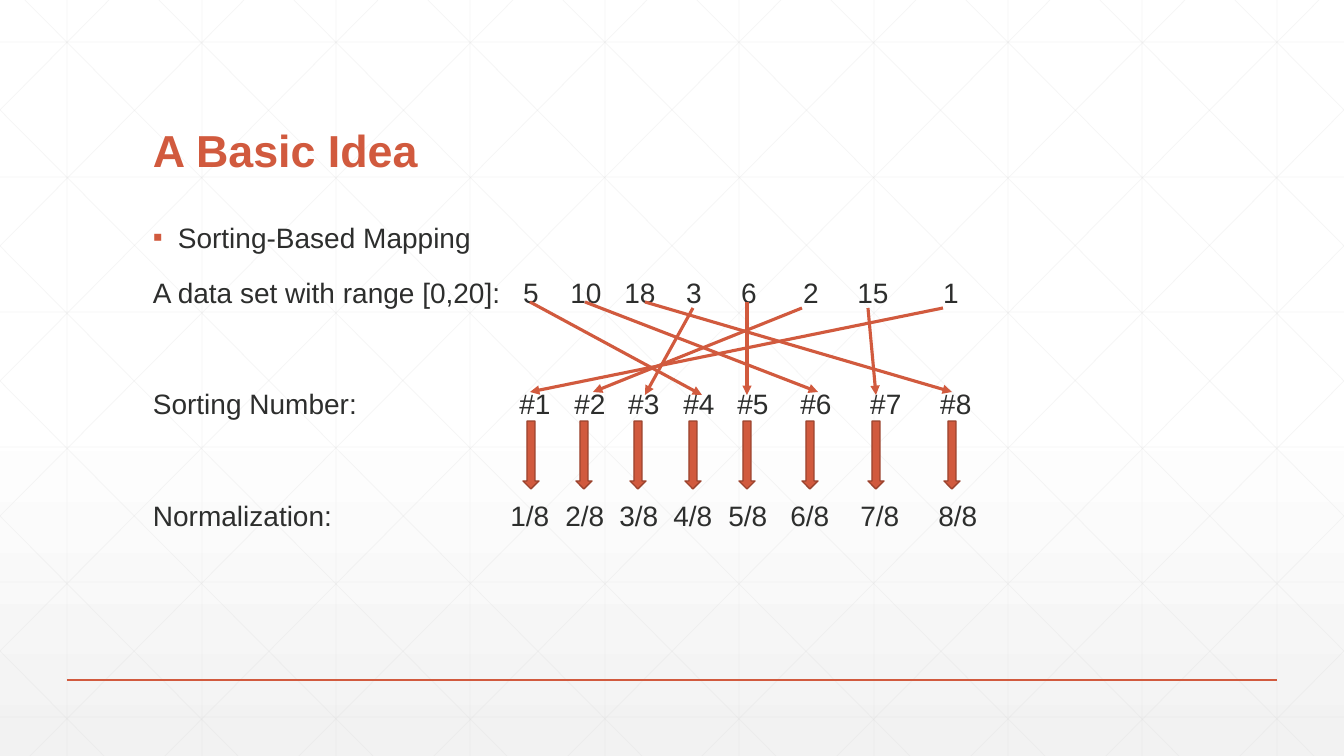
from lxml.etree import SubElement
from pptx import Presentation
from pptx.dml.color import RGBColor
from pptx.enum.shapes import MSO_CONNECTOR as Connector, MSO_SHAPE as Shape
from pptx.enum.text import MSO_ANCHOR as Anchor
from pptx.oxml.ns import qn
from pptx.util import Emu, Pt

WIDTH, HEIGHT = 1344, 756
SCALE = 914400 / 100.8
COLORS = {
    "accent": "D15A3E",
    "edge": "9B432E",
    "ink": "2D2E2D",
    "grid": "D9D9D9",
    "top": "FFFFFF",
    "bottom": "F2F2F2",
}
TEXT_LEFT = 153
ROWS = [
    ("A data set with range [0,20]:", 18,
     ["5", "10", "18", "3", "6", "2", "15", "1"],
     [531, 586, 640, 694, 749, 811, 873, 951]),
    ("Sorting Number:", 58,
     [f"#{rank}" for rank in range(1, 9)],
     [535, 590, 644, 699, 753, 816, 886, 956]),
    ("Normalization:", 58,
     [f"{rank}/8" for rank in range(1, 9)],
     [530, 585, 639, 693, 748, 810, 880, 958]),
]
ARROW_CENTERS = [531, 584, 638, 693, 747, 810, 876, 952]
SORT_LINKS = [
    (943, 308, 530, 392),
    (802, 308, 593, 392),
    (693, 308, 645, 395),
    (530, 302, 702, 395),
    (747, 302, 747, 395),
    (585, 302, 818, 392),
    (868, 308, 876, 395),
    (645, 302, 952, 392),
]


def px(length):
    return Emu(round(length * SCALE))


def rgb(name):
    return RGBColor.from_string(COLORS[name])


class SlideBuilder:
    """Draws styled elements on the current slide."""

    def __init__(self, deck, font="Arial"):
        self.font = font
        self.page = deck.slides.add_slide(deck.slide_layouts[6])

    def background(self):
        fill = self.page.background.fill
        fill.gradient()
        fill.gradient_angle = 270
        for stop, name, position in zip(fill.gradient_stops, ("top", "bottom"), (0.53, 1)):
            stop.color.rgb = rgb(name)
            stop.position = position

    def line(self, x1, y1, x2, y2, color, width, opacity=100, arrow=False):
        line = self.page.shapes.add_connector(
            Connector.STRAIGHT, px(x1), px(y1), px(x2), px(y2))
        line.line.color.rgb = rgb(color)
        line.line.width = Pt(width)
        outline = line.line._get_or_add_ln()
        if opacity < 100:
            tint = outline.find(".//" + qn("a:srgbClr"))
            SubElement(tint, qn("a:alpha"), val=str(opacity * 1000))
        if arrow:
            SubElement(outline, qn("a:tailEnd"), type="triangle")
        SubElement(line._element.spPr, qn("a:effectLst"))

    def down_arrow(self, center, top, width, height):
        arrow = self.page.shapes.add_shape(
            Shape.DOWN_ARROW, px(center - width // 2), px(top), px(width), px(height))
        arrow.shadow.inherit = False
        arrow.fill.solid()
        arrow.fill.fore_color.rgb = rgb("accent")
        arrow.line.color.rgb = rgb("edge")
        arrow.line.width = Pt(1)

    def text_box(self, left, top, width, height, anchor=Anchor.TOP):
        box = self.page.shapes.add_textbox(px(left), px(top), px(width), px(height))
        box.text_frame.word_wrap = True
        box.text_frame.vertical_anchor = anchor
        return box.text_frame

    def spacing(self, para, line, before=0):
        para.line_spacing = line
        para.space_before = Pt(before)

    def span(self, para, text, size, color, bold=False):
        span = para.add_run()
        span.text = text
        span.font.name = self.font
        span.font.size = Pt(size)
        span.font.bold = bold
        span.font.color.rgb = rgb(color)

    def bullet(self, para, symbol, color, indent):
        props = para._p.get_or_add_pPr()
        props.set("marL", str(px(indent)))
        props.set("indent", str(-px(indent)))
        tint = SubElement(props, qn("a:buClr"))
        SubElement(tint, qn("a:srgbClr"), val=COLORS[color])
        SubElement(props, qn("a:buFont"), typeface=self.font)
        SubElement(props, qn("a:buChar"), char=symbol)

    def center_tabs(self, para, positions):
        stops = SubElement(para._p.get_or_add_pPr(), qn("a:tabLst"))
        for position in positions:
            SubElement(stops, qn("a:tab"), pos=str(px(position)), algn="ctr")


def draw_grid(slide):
    style = ("grid", 0.5, 25)
    for column in range(10):
        x = round(67.2 + 134.4 * column)
        slide.line(x, 0, x, HEIGHT, *style)
    for row in range(6):
        y = 42 + 135 * row
        slide.line(0, y, WIDTH, y, *style)
    run = 751
    for step in range(-5, 10):
        start = round(25 + 134.4 * step)
        x1, x2 = max(start, 0), min(start + run, WIDTH)
        y1, y2 = (round((x - start) * HEIGHT / run) for x in (x1, x2))
        slide.line(x1, y1, x2, y2, *style)
        slide.line(WIDTH - x1, y1, WIDTH - x2, y2, *style)


def draw_text(slide):
    title = slide.text_box(143, 55, 1058, 126, Anchor.BOTTOM).paragraphs[0]
    slide.spacing(title, 1.5)
    slide.span(title, "A Basic Idea", 32, "accent", bold=True)

    body = slide.text_box(143, 219, 1058, 444)
    heading = body.paragraphs[0]
    slide.spacing(heading, 0.9)
    slide.bullet(heading, "▪", "accent", 25)
    slide.span(heading, "Sorting-Based Mapping", 20, "ink")
    for label, before, values, centers in ROWS:
        para = body.add_paragraph()
        slide.spacing(para, 0.9, before)
        slide.center_tabs(para, [center - TEXT_LEFT for center in centers])
        slide.span(para, label, 20, "ink")
        for value in values:
            slide.span(para, "\t" + value, 20, "ink")


def main():
    deck = Presentation()
    deck.slide_width, deck.slide_height = px(WIDTH), px(HEIGHT)
    slide = SlideBuilder(deck)
    slide.background()
    draw_grid(slide)
    slide.line(67, 680, 1277, 680, "accent", 1)
    draw_text(slide)
    for center in ARROW_CENTERS:
        slide.down_arrow(center, 421, 16, 68)
    for link in SORT_LINKS:
        slide.line(*link, "accent", 2.25, arrow=True)
    deck.save("out.pptx")


if __name__ == "__main__":
    main()
